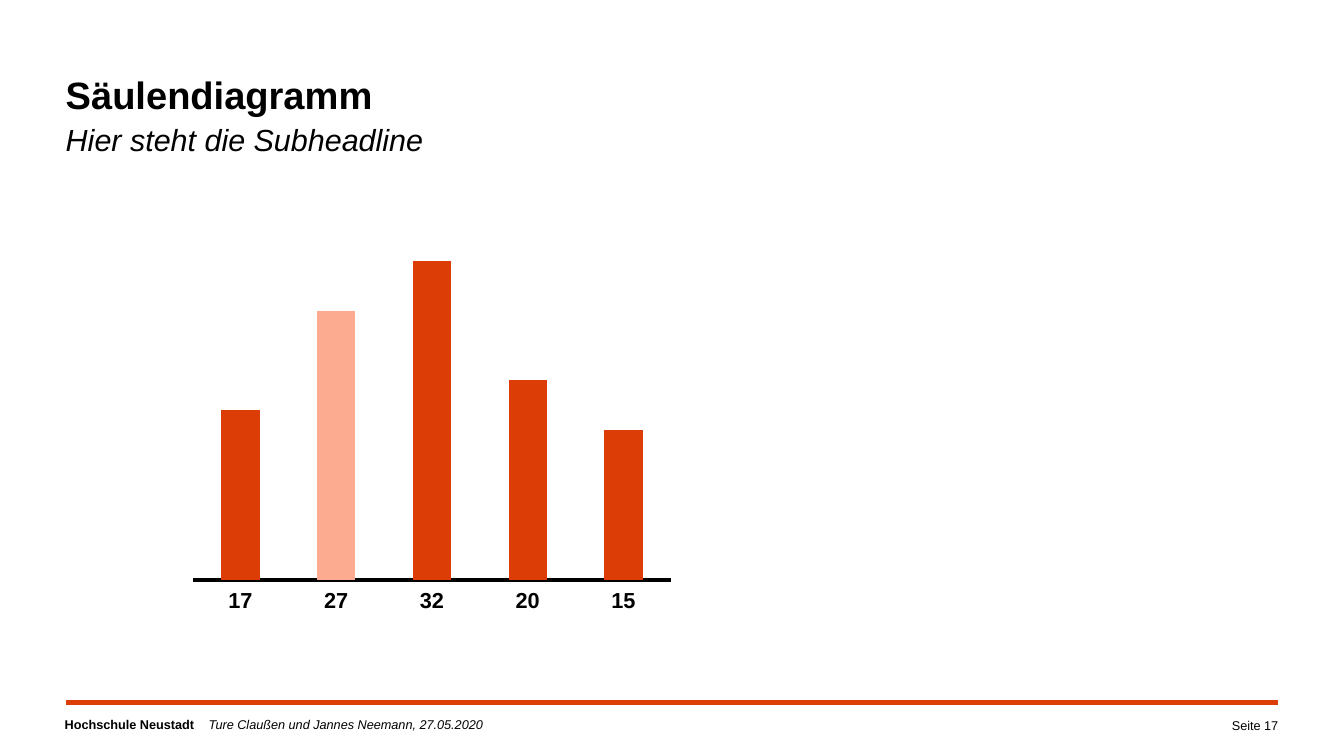
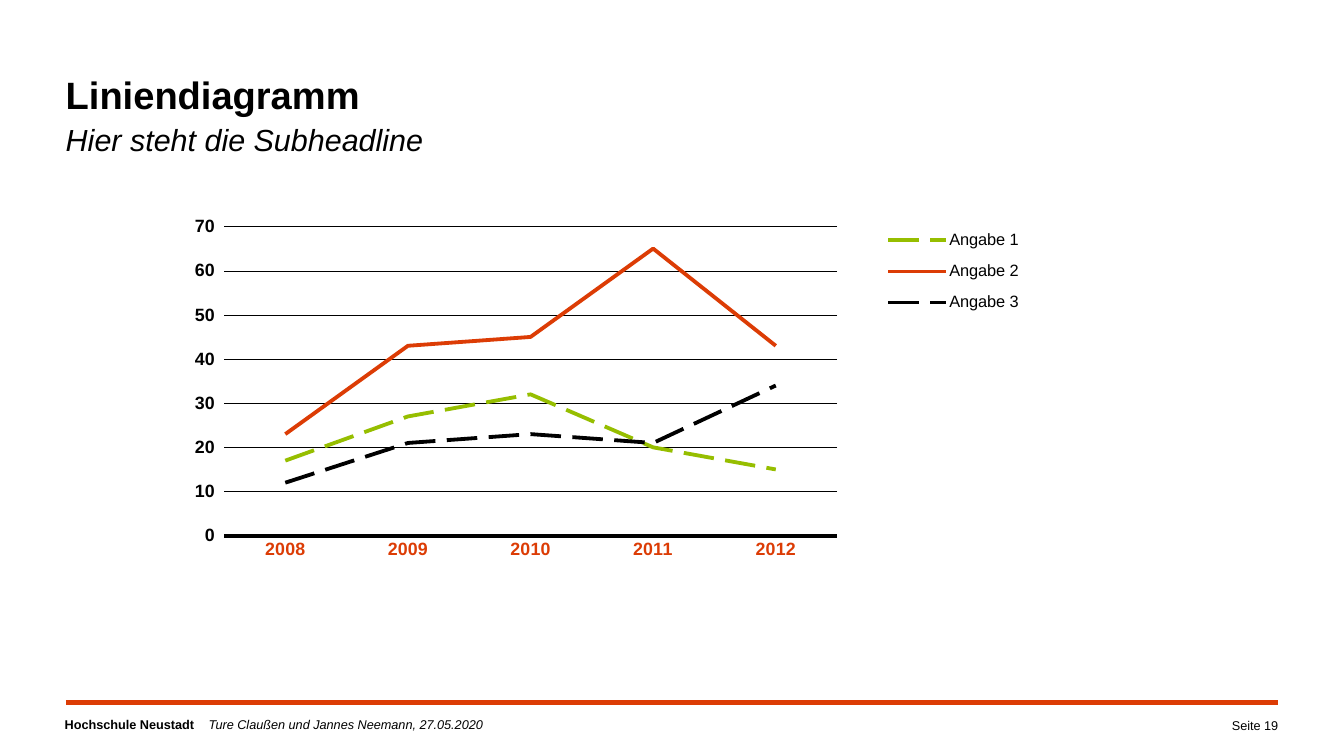
from dataclasses import dataclass, field

import lxml.etree
import pptx
import pptx.chart.axis
import pptx.chart.chart
import pptx.chart.data
import pptx.dml.color
import pptx.dml.fill
import pptx.enum.chart
import pptx.enum.dml
import pptx.enum.shapes
import pptx.enum.text
import pptx.oxml.ns
import pptx.presentation
import pptx.slide
import pptx.text.text
import pptx.util

Pt = pptx.util.Pt
qn = pptx.oxml.ns.qn
ChartType = pptx.enum.chart.XL_CHART_TYPE


@dataclass(frozen=True)
class Theme:
    font: str = "Arial"
    black: str = "000000"
    accent: str = "DC3C05"
    accent_light: str = "FCAB90"
    green: str = "96BE00"
    title_size: float = 30
    subtitle_size: float = 24
    footer_size: float = 10
    column_label_size: float = 17.1
    line_label_size: float = 14
    legend_size: float = 12.9
    heavy_line: float = 3
    grid_line: float = 0.25
    rule_line: float = 4
    line_spacing: float = 1.1


THEME = Theme()


@dataclass(frozen=True)
class Box:
    left: float
    top: float
    width: float
    height: float

    def lengths(self) -> tuple[int, int, int, int]:
        return Pt(self.left), Pt(self.top), Pt(self.width), Pt(self.height)


@dataclass(frozen=True)
class TextRun:
    text: str
    size: float
    bold: bool = False
    italic: bool = False


@dataclass(frozen=True)
class Series:
    name: str
    values: tuple[int, ...]
    color: str
    dashed: bool = False
    point_colors: dict[int, str] = field(default_factory=dict)


@dataclass(frozen=True)
class ChartContent:
    kind: ChartType
    box: Box
    plot: Box
    categories: tuple[str, ...]
    series: tuple[Series, ...]
    maximum: int
    label_size: float
    label_color: str


SLIDE_WIDTH, SLIDE_HEIGHT = 1058.4, 595.44
TITLE_BOX = Box(51.8, 52.6, 955.4, 74.9)
FOOTER_BOX = Box(51, 564.5, 764, 17.3)
PAGE_BOX = Box(885.6, 564.5, 121, 18)
RULE_LEFT, RULE_RIGHT, RULE_TOP = 51.8, 1006.6, 553
FOOTER_TAB = 113.4
LEGEND_BOX = Box(0.83, 0.09, 0.17, 0.27)

COLUMN_CHART = ChartContent(
    kind=ChartType.COLUMN_CLUSTERED,
    box=Box(141.8, 172.8, 395.3, 349.2),
    plot=Box(0.025, 0.026, 0.954, 0.787),
    categories=("17", "27", "32", "20", "15"),
    series=(
        Series("Series 1", (17, 27, 32, 20, 15), THEME.accent,
               point_colors={1: THEME.accent_light}),
    ),
    maximum=35,
    label_size=THEME.column_label_size,
    label_color=THEME.black,
)

LINE_CHART = ChartContent(
    kind=ChartType.LINE,
    box=Box(130.3, 144, 678.2, 310.3),
    plot=Box(0.068, 0.111, 0.712, 0.785),
    categories=("2008", "2009", "2010", "2011", "2012"),
    series=(
        Series("Angabe 1", (17, 27, 32, 20, 15), THEME.green, dashed=True),
        Series("Angabe 2", (23, 43, 45, 65, 43), THEME.accent),
        Series("Angabe 3", (12, 21, 23, 21, 34), THEME.black, dashed=True),
    ),
    maximum=70,
    label_size=THEME.line_label_size,
    label_color=THEME.accent,
)


def rgb(color: str) -> pptx.dml.color.RGBColor:
    return pptx.dml.color.RGBColor.from_string(color)


def fill_solid(fill: pptx.dml.fill.FillFormat, color: str) -> None:
    fill.solid()
    fill.fore_color.rgb = rgb(color)


def style_font(font: pptx.text.text.Font, size: float, color: str = THEME.black,
               bold: bool = False, italic: bool = False) -> None:
    font.name = THEME.font
    font.size = Pt(size)
    font.bold = bold
    font.italic = italic
    font.color.rgb = rgb(color)


def add_paragraph_box(slide: pptx.slide.Slide, box: Box) -> pptx.text.text._Paragraph:
    frame = slide.shapes.add_textbox(*box.lengths()).text_frame
    frame.word_wrap = True
    frame.margin_left = frame.margin_right = frame.margin_top = frame.margin_bottom = 0
    return frame.paragraphs[0]


def add_run(paragraph: pptx.text.text._Paragraph, content: TextRun) -> None:
    run = paragraph.add_run()
    run.text = content.text
    style_font(run.font, content.size, bold=content.bold, italic=content.italic)


def add_title(slide: pptx.slide.Slide, title: str) -> None:
    paragraph = add_paragraph_box(slide, TITLE_BOX)
    paragraph.line_spacing = THEME.line_spacing
    add_run(paragraph, TextRun(title, THEME.title_size, bold=True))
    paragraph.add_line_break()
    add_run(paragraph, TextRun("Hier steht die Subheadline", THEME.subtitle_size, italic=True))


def add_footer(slide: pptx.slide.Slide, page: int) -> None:
    size = THEME.footer_size
    paragraph = add_paragraph_box(slide, FOOTER_BOX)
    add_run(paragraph, TextRun("Hochschule Neustadt", size, bold=True))
    add_run(paragraph, TextRun("\tTure Claußen und Jannes Neemann, 27.05.2020", size, italic=True))
    properties = paragraph._p.get_or_add_pPr()
    tabs = lxml.etree.SubElement(properties, qn("a:tabLst"))
    lxml.etree.SubElement(tabs, qn("a:tab"), pos=str(int(Pt(FOOTER_TAB))), algn="l")

    rule = slide.shapes.add_connector(
        pptx.enum.shapes.MSO_CONNECTOR.STRAIGHT,
        Pt(RULE_LEFT), Pt(RULE_TOP), Pt(RULE_RIGHT), Pt(RULE_TOP),
    )
    rule.line.color.rgb = rgb(THEME.accent)
    rule.line.width = Pt(THEME.rule_line)
    lxml.etree.SubElement(rule.element.find(qn("p:spPr")), qn("a:effectLst"))

    page_paragraph = add_paragraph_box(slide, PAGE_BOX)
    page_paragraph.alignment = pptx.enum.text.PP_ALIGN.RIGHT
    page_paragraph.line_spacing = THEME.line_spacing
    add_run(page_paragraph, TextRun(f"Seite {page}", size))


def make_layout(box: Box, inner: bool = False) -> lxml.etree._Element:
    layout = lxml.etree.Element(qn("c:layout"))
    manual = lxml.etree.SubElement(layout, qn("c:manualLayout"))
    settings = {"layoutTarget": "inner"} if inner else {}
    settings |= {"xMode": "edge", "yMode": "edge", "x": box.left, "y": box.top,
                 "w": box.width, "h": box.height}
    for name, value in settings.items():
        lxml.etree.SubElement(manual, qn(f"c:{name}"), val=str(value))
    return layout


def add_chart(slide: pptx.slide.Slide, content: ChartContent) -> pptx.chart.chart.Chart:
    data = pptx.chart.data.CategoryChartData()
    data.categories = content.categories
    for series in content.series:
        data.add_series(series.name, series.values)
    chart = slide.shapes.add_chart(content.kind, *content.box.lengths(), data).chart
    chart.has_title = False
    chart.has_legend = False
    chart.plots[0].vary_by_categories = False
    style_font(chart.font, content.label_size)

    plot_area = chart.element.find(".//" + qn("c:plotArea"))
    for layout in plot_area.findall(qn("c:layout")):
        plot_area.remove(layout)
    plot_area.insert(0, make_layout(content.plot, inner=True))

    category_axis = chart.category_axis
    category_axis.major_tick_mark = pptx.enum.chart.XL_TICK_MARK.NONE
    category_axis.has_major_gridlines = False
    category_axis.format.line.color.rgb = rgb(THEME.black)
    category_axis.format.line.width = Pt(THEME.heavy_line)
    style_font(category_axis.tick_labels.font, content.label_size, content.label_color, bold=True)
    chart.value_axis.minimum_scale = 0
    chart.value_axis.maximum_scale = content.maximum
    return chart


def add_column_chart(slide: pptx.slide.Slide, content: ChartContent) -> None:
    chart = add_chart(slide, content)
    chart.plots[0].gap_width = 150
    chart.value_axis.has_major_gridlines = False
    chart.value_axis.visible = False
    chart.category_axis.tick_label_position = pptx.enum.chart.XL_TICK_LABEL_POSITION.LOW
    for drawn, series in zip(chart.plots[0].series, content.series):
        fill_solid(drawn.format.fill, series.color)
        for index, color in series.point_colors.items():
            fill_solid(drawn.points[index].format.fill, color)


def add_line_chart(slide: pptx.slide.Slide, content: ChartContent) -> None:
    chart = add_chart(slide, content)
    value_axis = chart.value_axis
    value_axis.major_unit = 10
    value_axis.major_tick_mark = pptx.enum.chart.XL_TICK_MARK.OUTSIDE
    value_axis.format.line.fill.background()
    value_axis.has_major_gridlines = True
    grid = value_axis.major_gridlines.format.line
    grid.color.rgb = rgb(THEME.black)
    grid.width = Pt(THEME.grid_line)
    style_font(value_axis.tick_labels.font, content.label_size, bold=True)

    chart.has_legend = True
    chart.legend.position = pptx.enum.chart.XL_LEGEND_POSITION.RIGHT
    chart.legend.include_in_layout = False
    style_font(chart.legend.font, THEME.legend_size)
    position = chart.element.find(".//" + qn("c:legendPos"))
    for layout in position.getparent().findall(qn("c:layout")):
        position.getparent().remove(layout)
    position.addnext(make_layout(LEGEND_BOX))

    for drawn, series in zip(chart.plots[0].series, content.series):
        drawn.smooth = False
        drawn.marker.style = pptx.enum.chart.XL_MARKER_STYLE.NONE
        drawn.format.line.color.rgb = rgb(series.color)
        drawn.format.line.width = Pt(THEME.heavy_line)
        if series.dashed:
            drawn.format.line.dash_style = pptx.enum.dml.MSO_LINE.LONG_DASH


def add_base_slide(presentation: pptx.presentation.Presentation, title: str,
                   page: int) -> pptx.slide.Slide:
    slide = presentation.slides.add_slide(presentation.slide_layouts[6])
    add_footer(slide, page)
    add_title(slide, title)
    return slide


def main() -> None:
    presentation = pptx.Presentation()
    presentation.slide_width = Pt(SLIDE_WIDTH)
    presentation.slide_height = Pt(SLIDE_HEIGHT)
    add_column_chart(add_base_slide(presentation, "Säulendiagramm", 17), COLUMN_CHART)
    add_line_chart(add_base_slide(presentation, "Liniendiagramm", 19), LINE_CHART)
    presentation.save("out.pptx")


if __name__ == "__main__":
    main()
